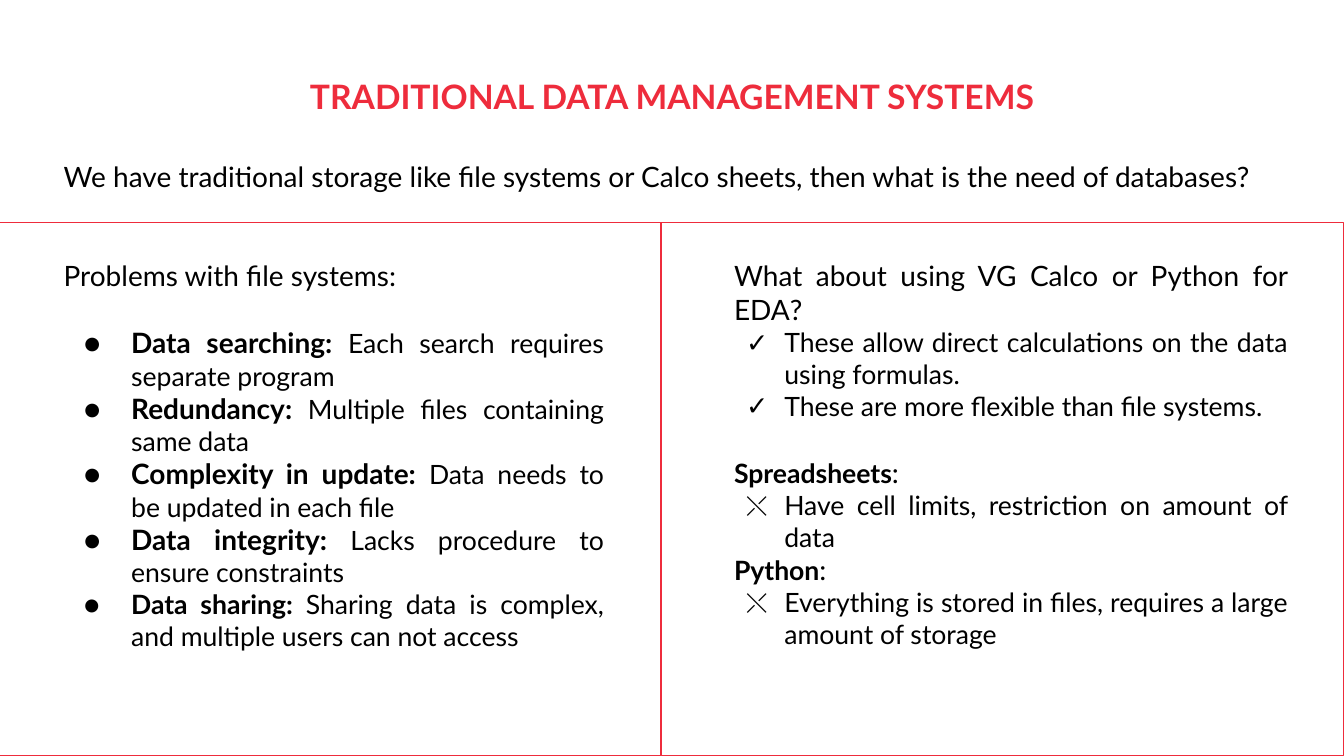
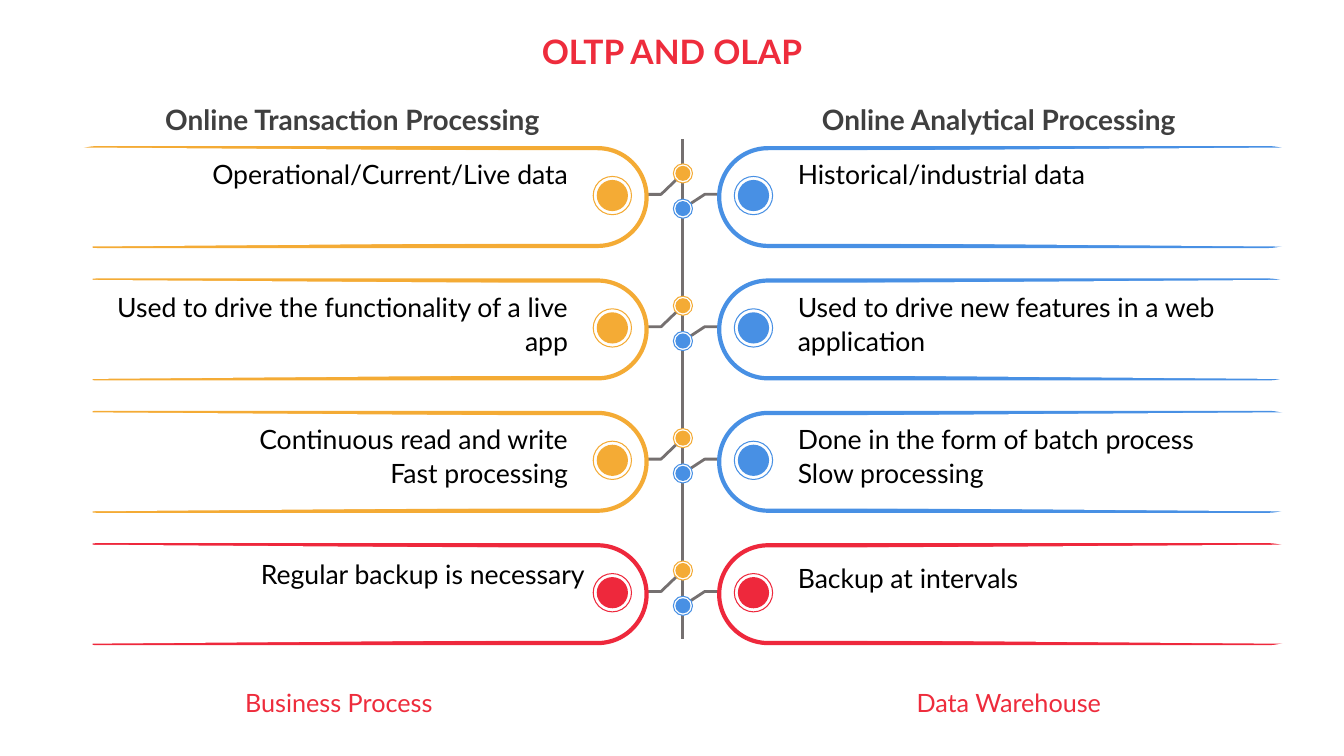
"""Builds two slides on data management: storage problems, and OLTP beside OLAP."""
from dataclasses import dataclass

from lxml import etree
from pptx import Presentation
from pptx import util as u
from pptx.dml.color import RGBColor
from pptx.enum import shapes, text
from pptx.oxml import ns

LEFT, CENTER, RIGHT, JUSTIFY = (
    text.PP_ALIGN.LEFT, text.PP_ALIGN.CENTER, text.PP_ALIGN.RIGHT, text.PP_ALIGN.JUSTIFY)


@dataclass(frozen=True)
class Theme:
    face: str = "Lato"
    ink: str = "000000"
    paper: str = "FFFFFF"
    accent: str = "EE2C3C"
    heading: str = "3F3F3F"
    spine: str = "757070"
    amber: str = "F4AB35"
    blue: str = "4890E4"
    red: str = "EE283C"
    title_size: int = 24
    lead_size: int = 20
    body_size: int = 19
    footer_size: int = 18
    hairline: float = 0.75
    stem: float = 2
    outline: float = 3
    leading: float = 1.07
    gap: int = 24


@dataclass(frozen=True)
class Para:
    runs: tuple
    size: float = Theme.lead_size
    bold: bool = False
    color: str = Theme.ink
    align: int = LEFT
    leading: float = None
    before: float = 0
    bullet: tuple = None


class Deck:
    """Draws on a grid of 160 columns by 90 rows, each cell a twelfth of an inch."""

    def __init__(self, theme):
        self.theme = theme
        self.show = Presentation()
        self.cell = u.Inches(1) // 12
        self.show.slide_width, self.show.slide_height = self.at(160), self.at(90)
        self.slide = None

    def at(self, cells):
        return u.Emu(round(cells * self.cell))

    def box(self, *cells):
        return [self.at(value) for value in cells]

    def new_slide(self):
        self.slide = self.show.slides.add_slide(self.show.slide_layouts[6])

    def paint(self, shape, fill, line, weight):
        shape.shadow.inherit = False
        if fill:
            shape.fill.solid()
            shape.fill.fore_color.rgb = RGBColor.from_string(fill)
        else:
            shape.fill.background()
        if line:
            shape.line.color.rgb = RGBColor.from_string(line)
            shape.line.width = u.Pt(weight)
        else:
            shape.line.fill.background()

    def shape(self, kind, cells, fill=None, line=None, weight=Theme.hairline):
        drawn = self.slide.shapes.add_shape(kind, *self.box(*cells))
        self.paint(drawn, fill, line, weight)
        return drawn

    def circle(self, x, y, size, fill, line=None):
        self.shape(shapes.MSO_SHAPE.OVAL, (x - size / 2, y - size / 2, size, size), fill, line)

    def dot(self, x, y, ring, core, color):
        self.circle(x, y, ring, self.theme.paper, color)
        self.circle(x, y, core, color)

    def outline(self, points, fill=None, line=None, weight=Theme.hairline):
        start, *rest = [self.box(*point) for point in points]
        builder = self.slide.shapes.build_freeform(*start, scale=1.0)
        builder.add_line_segments(rest, close=bool(fill))
        self.paint(builder.convert_to_shape(), fill, line, weight)

    def line(self, start, end, color, weight):
        rule = self.slide.shapes.add_connector(
            shapes.MSO_CONNECTOR.STRAIGHT, *self.box(*start, *end))
        rule.line.color.rgb = RGBColor.from_string(color)
        rule.line.width = u.Pt(weight)
        etree.SubElement(rule._element.spPr, ns.qn("a:effectLst"))

    def style(self, font, size, bold, color):
        font.name, font.size, font.bold = self.theme.face, u.Pt(size), bold
        font.color.rgb = RGBColor.from_string(color)

    def bullet(self, paragraph, mark, indent, hang):
        props = paragraph._p.get_or_add_pPr()
        props.set("marL", str(u.Inches(indent)))
        props.set("indent", str(-u.Inches(hang)))
        etree.SubElement(props, ns.qn("a:buFont"), typeface=self.theme.face)
        etree.SubElement(props, ns.qn("a:buChar"), char=mark)

    def text(self, cells, paras, margin=0.1):
        frame = self.slide.shapes.add_textbox(*self.box(*cells)).text_frame
        frame.word_wrap = True
        frame.vertical_anchor = text.MSO_ANCHOR.TOP
        frame.margin_left = frame.margin_right = u.Inches(0.1)
        frame.margin_top = frame.margin_bottom = u.Inches(margin)
        for index, para in enumerate(paras):
            paragraph = frame.add_paragraph() if index else frame.paragraphs[0]
            if para.bullet:
                self.bullet(paragraph, *para.bullet)
            paragraph.alignment = para.align
            paragraph.space_before = u.Pt(para.before)
            if para.leading:
                paragraph.line_spacing = para.leading
            self.style(paragraph.font, para.size, para.bold, para.color)
            for words, size, bold in para.runs:
                run = paragraph.add_run()
                run.text = words
                self.style(run.font, size, bold, para.color)

    def para(self, words, size, bold=False, **look):
        return Para(((words, size, bold),), size, bold, **look)

    def title(self, words, top):
        self.text((5.5, top, 149, 8), [self.para(
            words, self.theme.title_size, True, color=self.theme.accent, align=CENTER)])


def storage_slide(deck):
    theme = deck.theme
    lead, body = theme.lead_size, theme.body_size
    deck.new_slide()
    split, top = 78.7, 26.5
    for left, width in ((split, 160 - split), (0, split)):
        deck.shape(shapes.MSO_SHAPE.RECTANGLE, (left, top, width, 90 - top), line=theme.accent)
    deck.title("TRADITIONAL DATA MANAGEMENT SYSTEMS", 7.8)
    deck.text((6.4, 17.75, 146.5, 6.5), [deck.para(
        "We have traditional storage like file systems or Calco sheets, "
        "then what is the need of databases?", lead)])

    def listed(mark, words):
        return deck.para(words, body, align=JUSTIFY, bullet=(mark, 0.5, 0.38))

    def tool(name, before=0):
        return Para(((name, body, True), (": ", lead, False)), align=JUSTIFY, before=before)

    deck.text((86.2, 29.6, 68.3, 53.5), [
        deck.para("What about using VG Calco or Python for EDA?", lead, align=JUSTIFY),
        listed("✓", "These allow direct calculations on the data using formulas."),
        listed("✓", "These are more flexible than file systems."),
        tool("Spreadsheets", theme.gap),
        listed("⤬", "Have cell limits, restriction on amount of data"),
        tool("Python"),
        listed("⤬", "Everything is stored in files, requires a large amount of storage"),
    ])

    problems = (
        ("Data searching: ", lead, "Each search requires separate program"),
        ("Redundancy: ", lead, "Multiple files containing same data"),
        ("Complexity in update: ", lead, "Data needs to be updated in each file"),
        ("Data integrity: ", lead, "Lacks procedure to ensure constraints"),
        ("Data sharing: ", body, "Sharing data is complex, and multiple users can not access"),
    )
    deck.text((6.4, 29.6, 66.7, 49.7), [
        deck.para("Problems with file systems:", lead, align=JUSTIFY)] + [
        Para(((term, size, True), (detail, body, False)), size, align=JUSTIFY,
             before=0 if index else theme.gap, bullet=("●", 0.67, 0.47))
        for index, (term, size, detail) in enumerate(problems)])


def processing_slide(deck):
    theme = deck.theme
    axis, first_row, pitch = 81.3, 17.64, 15.76
    pill_width, pill_height = 71.16, 11.64
    text_width = 56.52
    deck.new_slide()
    deck.title("OLTP AND OLAP", 2.5)
    deck.line((axis, 16.56), (axis, 76.08), theme.spine, theme.stem)

    def branch(top, side, color, bead_color, bead_y, lines, nudge):
        def across(distance):
            return axis + side * distance

        def span(near, width):
            return min(across(near), across(near + width))

        joint = top + 5.5
        deck.outline([(across(5.3), joint), (across(2.6), joint), (axis, top + bead_y)],
                     line=theme.spine, weight=theme.stem)
        deck.dot(axis, top + bead_y, 2.28, 1.8, bead_color)
        pill = deck.shape(shapes.MSO_SHAPE.ROUNDED_RECTANGLE,
                          (span(4.32, pill_width), top, pill_width, pill_height),
                          theme.paper, color, theme.outline)
        pill.adjustments[0] = 0.5
        inner, outer = across(21.96), across(77.28)
        deck.outline([(outer, top - 0.12), (inner, top + 0.28), (inner, top + 11.32),
                      (outer, top + 11.76), (outer, top - 0.12)], theme.paper)
        deck.dot(across(8.4), top + 5.64, 4.56, 3.72, color)
        dx, dy = nudge
        deck.text((span(12.5, text_width) + dx, top + 0.34 + dy, text_width, 10.8),
                  [deck.para(words, theme.body_size, leading=theme.leading,
                             align=LEFT if side > 0 else RIGHT) for words in lines], 0.05)

    rows = (
        (["Operational/Current/Live data"], ["Historical/industrial data"]),
        (["Used to drive the functionality of a live app"],
         ["Used to drive new features in a web application"]),
        (["Continuous read and write", "Fast processing"],
         ["Done in the form of batch process", "Slow processing"]),
        (["Regular backup is necessary"], ["Backup at intervals"]),
    )
    for index, (oltp, olap) in enumerate(rows):
        top = first_row + index * pitch
        last = index == len(rows) - 1
        branch(top, 1, theme.red if last else theme.blue, theme.blue, 7.2,
               olap, (0, 0.8) if last else (0, 0))
        branch(top, -1, theme.red if last else theme.amber, theme.amber, 3,
               oltp, (2, 0.3) if last else (0, 0))

    for left, width, words in ((13.7, 56.5, "Online Transaction Processing"),
                               (89.9, 58, "Online Analytical Processing")):
        deck.text((left, 11.3, width, 5.3), [deck.para(
            words, theme.lead_size, True, color=theme.heading,
            align=CENTER, leading=theme.leading)], 0.05)
    deck.outline([(11.04, 19.3), (0.84, 19.4), (0.84, 80.2), (11.04, 80.8), (11.04, 19.3)],
                 theme.paper)
    for left, words, align in ((106.1, "Data Warehouse", CENTER),
                               (28, "Business Process", LEFT)):
        deck.text((left, 80.6, 28, 6), [deck.para(
            words, theme.footer_size, color=theme.accent, align=align)])


def main():
    deck = Deck(Theme())
    storage_slide(deck)
    processing_slide(deck)
    deck.show.save("out.pptx")


if __name__ == "__main__":
    main()
